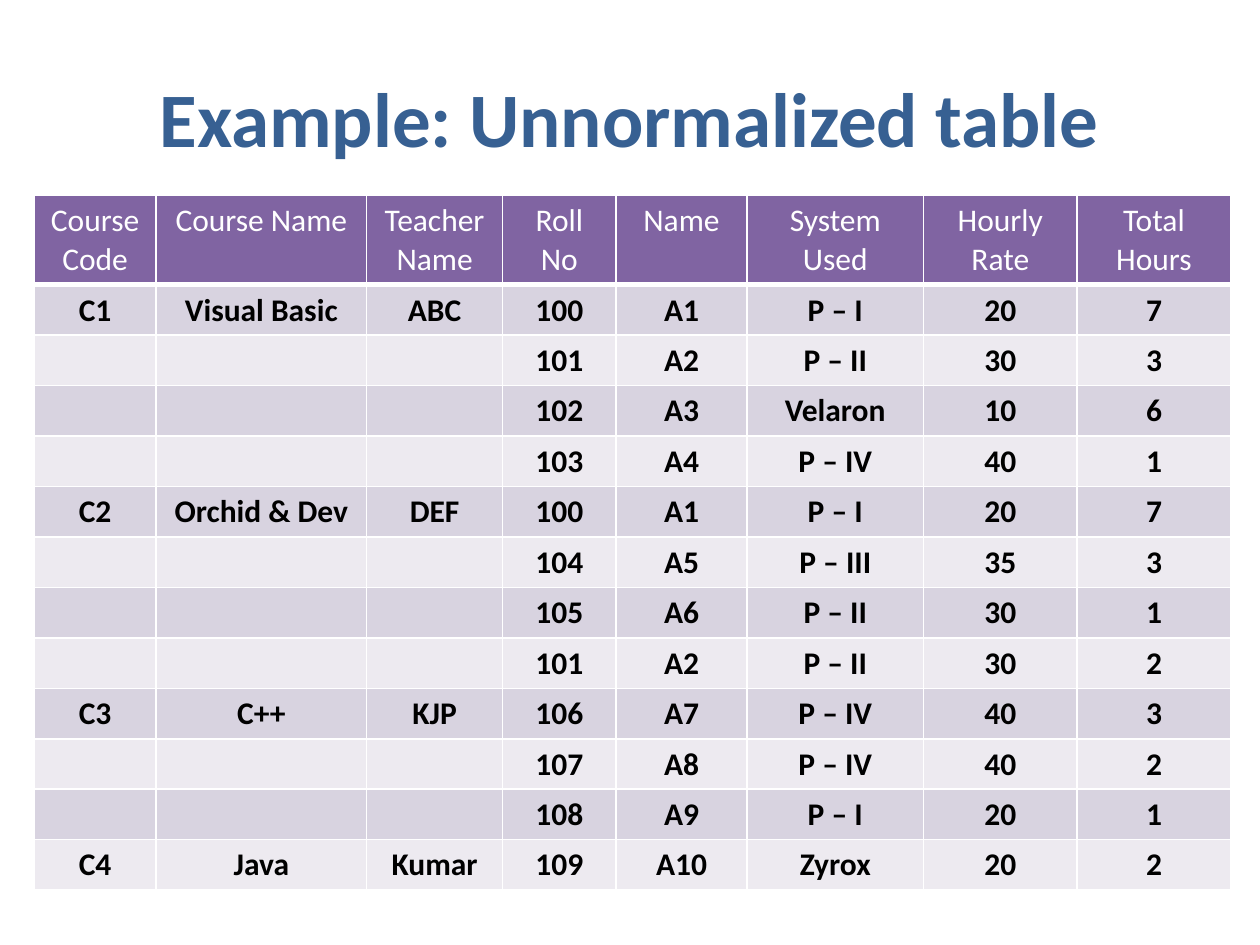
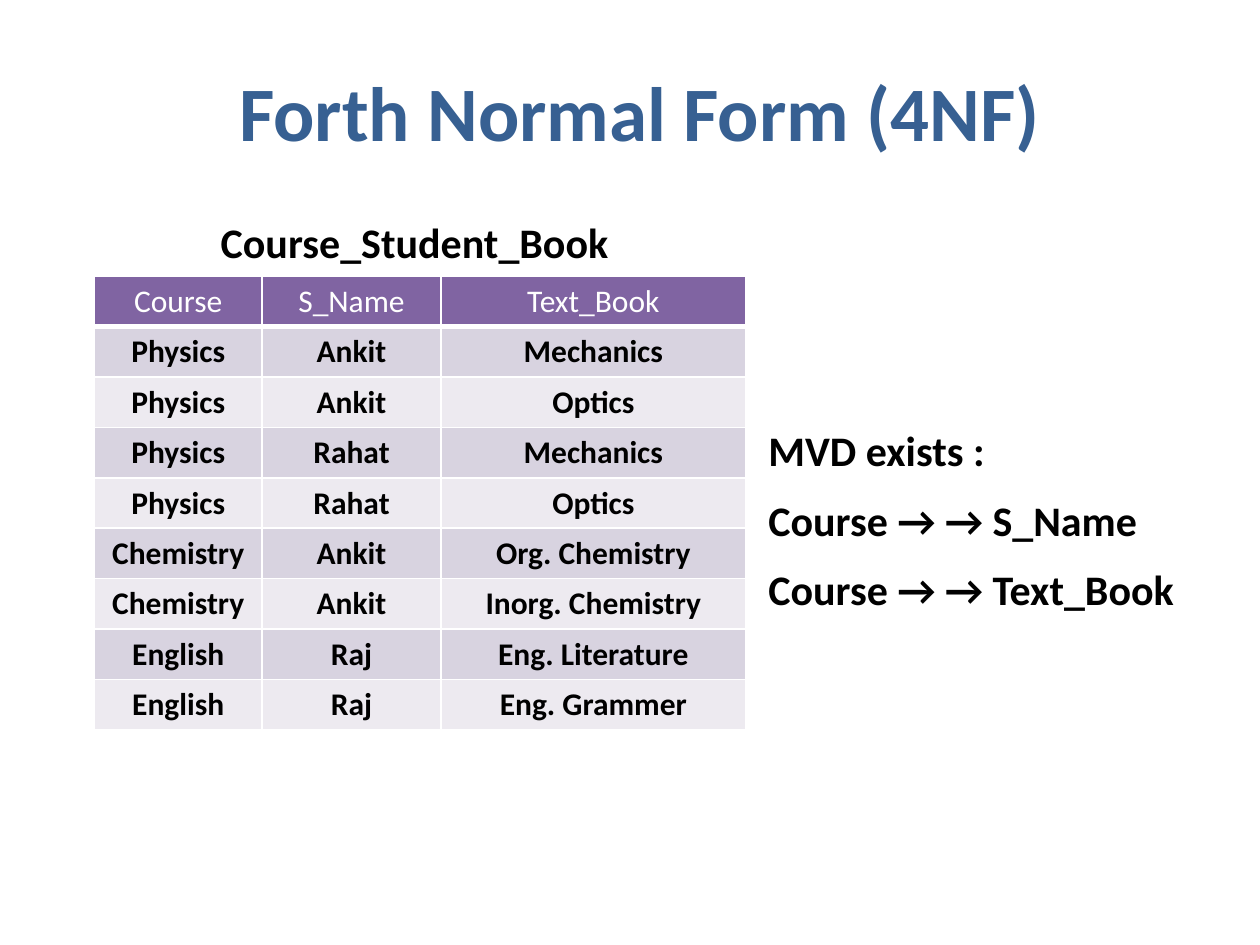
import pptx
import pptx.util
import pptx.dml.color
import pptx.enum.text
import pptx.oxml
import pptx.oxml.ns
import lxml.etree

Inches = pptx.util.Inches
Pt = pptx.util.Pt
Align = pptx.enum.text.PP_ALIGN
Anchor = pptx.enum.text.MSO_ANCHOR

theme = {
    "title": {"name": "Calibri", "size": Pt(44), "bold": True, "color": "376092"},
    "note": {"name": "Calibri", "size": Pt(24), "bold": True, "color": "000000"},
    "header": {"name": "Calibri", "size": Pt(18), "bold": False, "color": "FFFFFF"},
    "body": {"name": "Calibri", "size": Pt(18), "bold": True, "color": "000000"},
    "header_fill": "8064A2",
    "band_fills": ["EDEAF0", "D8D3E0"],
    "border": "FFFFFF",
}


def write_lines(frame, lines, style, alignment, gap=0):
    for index, line in enumerate(lines):
        para = frame.paragraphs[0] if index == 0 else frame.add_paragraph()
        para.alignment = alignment
        if index:
            para.space_before = Pt(gap)
        if not line:
            continue
        span = para.add_run()
        span.text = line
        for key, value in theme[style].items():
            if key == "color":
                span.font.color.rgb = pptx.dml.color.RGBColor.from_string(value)
            else:
                setattr(span.font, key, value)


def border_cell(cell, widths):
    properties = cell._tc.get_or_add_tcPr()
    for side, width in widths.items():
        line = lxml.etree.SubElement(properties, pptx.oxml.ns.qn(f"a:ln{side}"), w=str(Pt(width)))
        fill = lxml.etree.SubElement(line, pptx.oxml.ns.qn("a:solidFill"))
        lxml.etree.SubElement(fill, pptx.oxml.ns.qn("a:srgbClr"), val=theme["border"])


pages = [
    {
        "texts": [
            ((0.5, 0.3, 9, 1.25), ["Example: Unnormalized table"], "title", Align.CENTER, Anchor.MIDDLE),
        ],
        "table_at": (0.27, 1.55),
        "columns": [0.97, 1.67, 1.08, 0.9, 1.04, 1.4, 1.22, 1.22],
        "header_height": 0.71,
        "rows": [
            ["Course Code", "Course Name", "Teacher Name", "Roll No", "Name", "System Used", "Hourly Rate", "Total Hours"],
            ["C1", "Visual Basic", "ABC", "100", "A1", "P – I", "20", "7"],
            ["", "", "", "101", "A2", "P – II", "30", "3"],
            ["", "", "", "102", "A3", "Velaron", "10", "6"],
            ["", "", "", "103", "A4", "P – IV", "40", "1"],
            ["C2", "Orchid & Dev", "DEF", "100", "A1", "P – I", "20", "7"],
            ["", "", "", "104", "A5", "P – III", "35", "3"],
            ["", "", "", "105", "A6", "P – II", "30", "1"],
            ["", "", "", "101", "A2", "P – II", "30", "2"],
            ["C3", "C++", "KJP", "106", "A7", "P – IV", "40", "3"],
            ["", "", "", "107", "A8", "P – IV", "40", "2"],
            ["", "", "", "108", "A9", "P – I", "20", "1"],
            ["C4", "Java", "Kumar", "109", "A10", "Zyrox", "20", "2"],
        ],
    },
    {
        "texts": [
            ((0.58, 0.25, 9, 1.25), ["Forth Normal Form (4NF)"], "title", Align.CENTER, Anchor.MIDDLE),
            ((1.58, 1.67, 3.42, 0.52), ["Course_Student_Book"], "note", Align.CENTER, Anchor.TOP),
            ((6, 3.32, 3.75, 1.35), ["MVD exists :", "Course → → S_Name", "Course → → Text_Book"],
             "note", Align.JUSTIFY, Anchor.TOP),
        ],
        "table_at": (0.75, 2.19),
        "columns": [1.33, 1.42, 2.42],
        "header_height": 0.4,
        "rows": [
            ["Course", "S_Name", "Text_Book"],
            ["Physics", "Ankit", "Mechanics"],
            ["Physics", "Ankit", "Optics"],
            ["Physics", "Rahat", "Mechanics"],
            ["Physics", "Rahat", "Optics"],
            ["Chemistry", "Ankit", "Org. Chemistry"],
            ["Chemistry", "Ankit", "Inorg. Chemistry"],
            ["English", "Raj", "Eng. Literature"],
            ["English", "Raj", "Eng. Grammer"],
        ],
    },
]
row_height = 0.4

deck = pptx.Presentation()
deck.slide_width = Inches(10)
deck.slide_height = Inches(7.5)

for content in pages:
    page = deck.slides.add_slide(deck.slide_layouts[6])

    for place, lines, style, alignment, anchor in content["texts"]:
        box = page.shapes.add_textbox(*map(Inches, place))
        box.text_frame.word_wrap = True
        box.text_frame.vertical_anchor = anchor
        write_lines(box.text_frame, lines, style, alignment, gap=11)

    rows, columns = content["rows"], content["columns"]
    heights = [content["header_height"]] + [row_height] * (len(rows) - 1)
    size = (sum(columns), sum(heights))
    table = page.shapes.add_table(len(rows), len(columns), *map(Inches, content["table_at"] + size)).table
    for column, width in zip(table.columns, columns):
        column.width = Inches(width)
    for row, height in zip(table.rows, heights):
        row.height = Inches(height)

    for row_index, values in enumerate(rows):
        is_header = row_index == 0
        color = theme["header_fill"] if is_header else theme["band_fills"][row_index % 2]
        for column_index, value in enumerate(values):
            cell = table.cell(row_index, column_index)
            border_cell(cell, {"L": 1, "R": 1, "T": 1, "B": 3 if is_header else 1})
            cell.fill.solid()
            cell.fill.fore_color.rgb = pptx.dml.color.RGBColor.from_string(color)
            write_lines(cell.text_frame, [value], "header" if is_header else "body", Align.CENTER)

deck.save("out.pptx")
